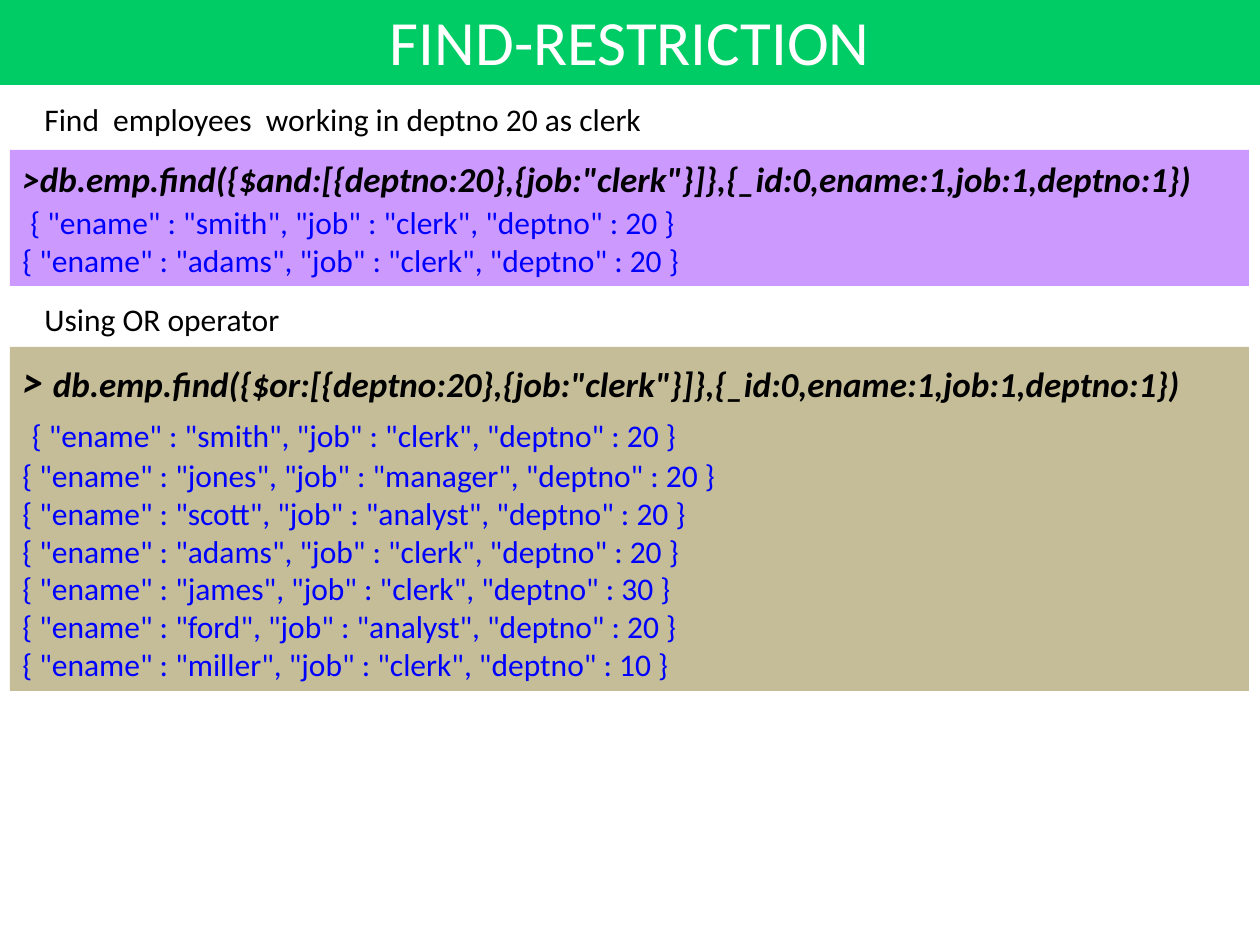
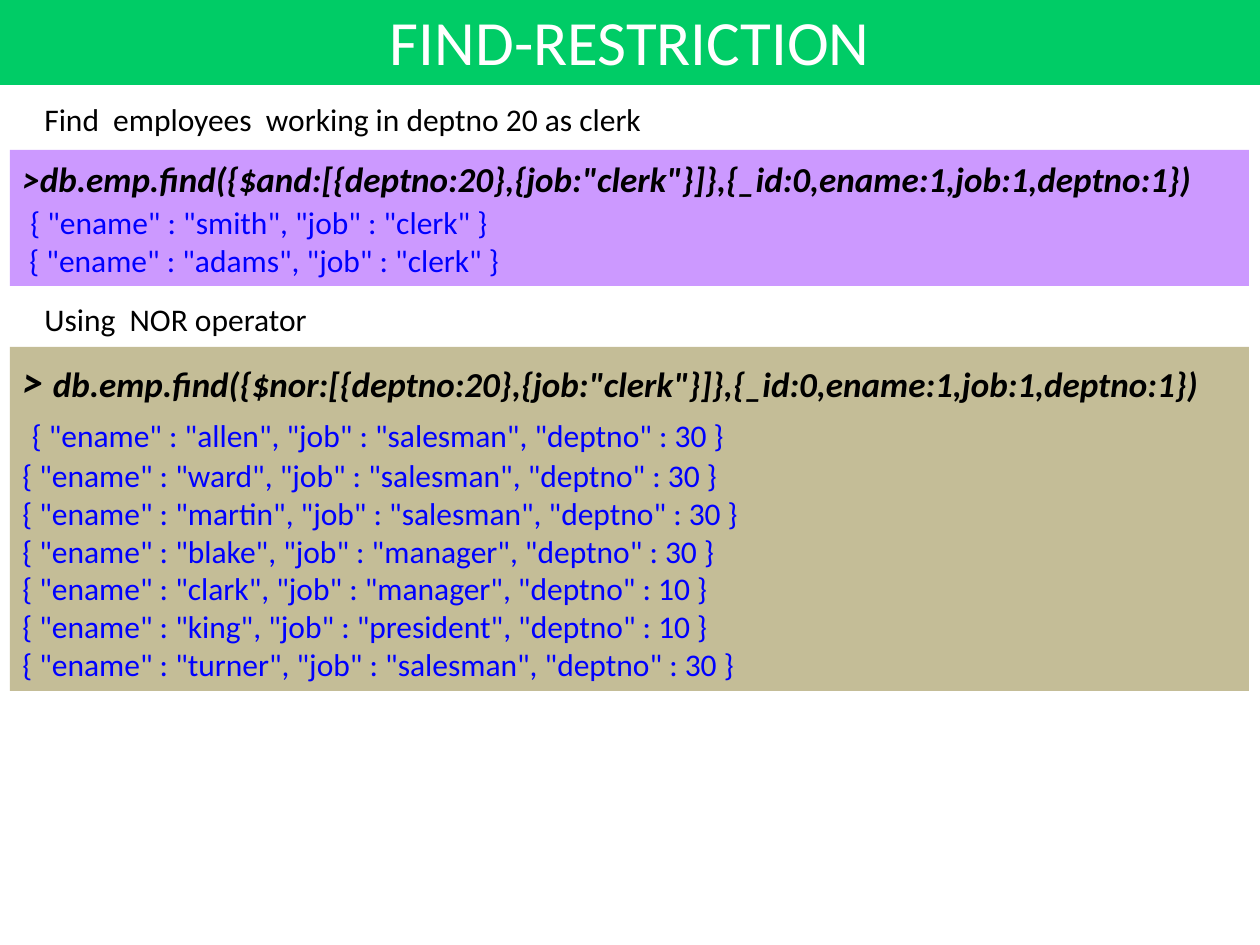
from pptx import Presentation
from pptx.dml.color import RGBColor
from pptx.enum.shapes import MSO_SHAPE
from pptx.enum.text import MSO_ANCHOR, MSO_AUTO_SIZE, PP_ALIGN
from pptx.util import Pt

RECTANGLE = MSO_SHAPE.RECTANGLE
MIDDLE = MSO_ANCHOR.MIDDLE
FIT_SHAPE, NO_FIT = MSO_AUTO_SIZE.SHAPE_TO_FIT_TEXT, MSO_AUTO_SIZE.NONE
LEFT, CENTER = PP_ALIGN.LEFT, PP_ALIGN.CENTER

PIXEL = 914400 // 126
FONT = "Calibri"
GREEN, PURPLE, TAN = "00CC66", "CC99FF", "C4BD97"
WHITE, BLACK, BLUE = "FFFFFF", "000000", "0000FF"
TITLE_ONLY = 5


def style(font, size, color, emphasis=False):
    font.name = FONT
    font.size = Pt(size)
    font.color.rgb = RGBColor.from_string(color)
    font.bold = font.italic = emphasis


def record(name, job, department=None):
    ending = "" if department is None else f', "deptno" : {department}'
    return f'{{ "ename" : "{name}", "job" : "{job}"{ending} }}'


def_query = 'db.emp.find({$%s:[{deptno:20},{job:"clerk"}]},{_id:0,ename:1,job:1,deptno:1}) '
and_heading = "Find  employees  working in deptno 20 as clerk"

slides = [
    [
        (and_heading, 630, "and",
         [record("smith", "clerk", 20), record("adams", "clerk", 20)]),
        ("Using OR operator", 272, "or",
         [record("smith", "clerk", 20), record("jones", "manager", 20),
          record("scott", "analyst", 20), record("adams", "clerk", 20),
          record("james", "clerk", 30), record("ford", "analyst", 20),
          record("miller", "clerk", 10)]),
    ],
    [
        (and_heading, 630, "and",
         [record("smith", "clerk"), " " + record("adams", "clerk")]),
        ("Using  NOR operator", 299, "nor",
         [record("allen", "salesman", 30), record("ward", "salesman", 30),
          record("martin", "salesman", 30), record("blake", "manager", 30),
          record("clark", "manager", 10), record("king", "president", 10),
          record("turner", "salesman", 30)]),
    ],
]

panel_styles = [
    (94, 150, 136, PURPLE, ">", 20),
    (294, 347, 344, TAN, "> ", 24),
]

presentation = Presentation()
presentation.slide_width = 1260 * PIXEL
presentation.slide_height = 945 * PIXEL

for sections in slides:
    slide = presentation.slides.add_slide(presentation.slide_layouts[TITLE_ONLY])
    title = slide.shapes.title
    title.left, title.top = 0, -4 * PIXEL
    title.width, title.height = 1260 * PIXEL, 89 * PIXEL
    title.fill.solid()
    title.fill.fore_color.rgb = RGBColor.from_string(GREEN)
    title.text_frame.text = "FIND-RESTRICTION"
    title.text_frame.auto_size = NO_FIT
    title.text_frame.vertical_anchor = MIDDLE
    paragraph = title.text_frame.paragraphs[0]
    paragraph.alignment = CENTER
    style(paragraph.font, 36, WHITE)

    for section, panel_style in zip(sections, panel_styles):
        heading, heading_width, operator, records = section
        heading_top, panel_top, panel_height, fill, prompt, prompt_size = panel_style

        panel = slide.shapes.add_shape(
            RECTANGLE, 10 * PIXEL, panel_top * PIXEL, 1239 * PIXEL, panel_height * PIXEL)
        panel.shadow.inherit = False
        panel.fill.solid()
        panel.fill.fore_color.rgb = RGBColor.from_string(fill)
        panel.line.fill.background()
        frame = panel.text_frame
        frame.word_wrap = True
        frame.auto_size = FIT_SHAPE

        paragraph = frame.paragraphs[0]
        paragraph.alignment = LEFT
        for text, size in [(prompt, prompt_size), (def_query % operator, 20)]:
            run = paragraph.add_run()
            run.text = text
            style(run.font, size, BLACK, emphasis=True)

        for index, line in enumerate(records):
            paragraph = frame.add_paragraph()
            paragraph.alignment = LEFT
            style(paragraph.font, 18, BLUE)
            if index == 0:
                run = paragraph.add_run()
                run.text = " "
                style(run.font, prompt_size, BLACK, emphasis=True)
            run = paragraph.add_run()
            run.text = line

        label = slide.shapes.add_textbox(
            32 * PIXEL, heading_top * PIXEL, heading_width * PIXEL, 50 * PIXEL)
        label.text_frame.word_wrap = False
        label.text_frame.auto_size = FIT_SHAPE
        label.text_frame.text = heading
        style(label.text_frame.paragraphs[0].font, 18, BLACK)

presentation.save("out.pptx")
